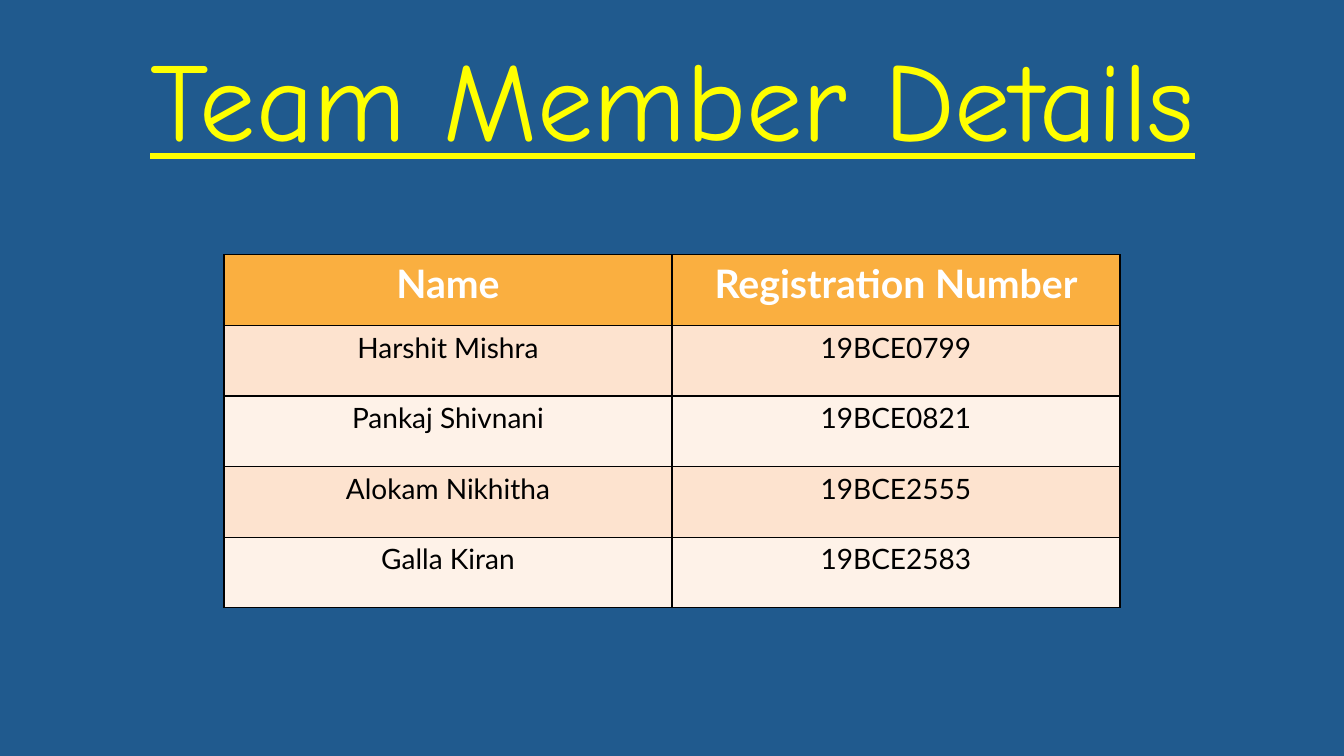
from lxml.etree import SubElement
from pptx import Presentation
from pptx.dml.color import RGBColor
from pptx.enum.text import MSO_ANCHOR, PP_ALIGN
from pptx.oxml.ns import qn
from pptx.util import Inches, Pt

MEMBERS = [
    ("Name", "Registration Number"),
    ("Harshit Mishra", "19BCE0799"),
    ("Pankaj Shivnani", "19BCE0821"),
    ("Alokam Nikhitha", "19BCE2555"),
    ("Galla Kiran", "19BCE2583"),
]
TITLE = dict(name="Comic Neue", size=Pt(80), bold=False, underline=True)
HEADER = dict(name="Lato", size=Pt(28), bold=True)
BODY = dict(name="Lato", size=Pt(20), bold=False)


def rgb(value):
    """Turn a hex string into a colour."""
    return RGBColor.from_string(value)


class Deck:
    """Hold the style and the current slide."""

    yellow, white, black = "FFFF00", "FFFFFF", "000000"
    header_fill, band_fills = "FAAF40", ("FEF2E8", "FDE3CF")

    def __init__(self, background):
        """Start a widescreen deck with one title slide."""
        self.prs = Presentation()
        self.prs.slide_width, self.prs.slide_height = Inches(13.33), Inches(7.5)
        self.s = self.prs.slides.add_slide(self.prs.slide_layouts[5])
        self.s.background.fill.solid()
        self.s.background.fill.fore_color.rgb = rgb(background)

    def box(self, left, top, width, height):
        """Turn shares of the slide into lengths."""
        w, h = self.prs.slide_width, self.prs.slide_height
        return int(left * w), int(top * h), int(width * w), int(height * h)

    def text(self, tf, text, color, style):
        """Set one centred paragraph and return it."""
        p = tf.paragraphs[0]
        p.alignment = PP_ALIGN.CENTER
        r = p.add_run()
        r.text = text
        for key, value in style.items():
            setattr(r.font, key, value)
        r.font.color.rgb = rgb(color)
        return p

    def title(self, text, *shares):
        """Place and format the title placeholder."""
        sp = self.s.shapes.title
        sp.left, sp.top, sp.width, sp.height = self.box(*shares)
        tf = sp.text_frame
        tf.word_wrap, tf.vertical_anchor = True, MSO_ANCHOR.TOP
        p = self.text(tf, text, self.yellow, TITLE)
        p.line_spacing, p.space_before = 0.9, Pt(10)

    def border(self, cell):
        """Draw a thin line on all four sides of a cell."""
        tcPr = cell._tc.get_or_add_tcPr()
        for i, side in enumerate(("a:lnL", "a:lnR", "a:lnT", "a:lnB")):
            ln = tcPr.makeelement(qn(side), w=str(Pt(1)))
            fill = SubElement(ln, qn("a:solidFill"))
            SubElement(fill, qn("a:srgbClr"), val=self.black)
            tcPr.insert(i, ln)

    def table(self, rows, *shares):
        """Add a bordered table with a header and banded rows."""
        table = self.s.shapes.add_table(len(rows), len(rows[0]), *self.box(*shares)).table
        for i, row in enumerate(rows):
            fill = self.band_fills[i % 2] if i else self.header_fill
            color, style = (self.black, BODY) if i else (self.white, HEADER)
            for j, text in enumerate(row):
                cell = table.cell(i, j)
                cell.fill.solid()
                cell.fill.fore_color.rgb = rgb(fill)
                self.text(cell.text_frame, text, color, style)
                self.border(cell)


def main():
    """Build the slide and save it."""
    deck = Deck("205A8E")
    deck.table(MEMBERS, 1 / 6, 0.337, 2 / 3, 0.467)
    deck.title("Team Member Details", 0.034, 0.053, 0.933, 0.217)
    deck.prs.save("out.pptx")


if __name__ == "__main__":
    main()
